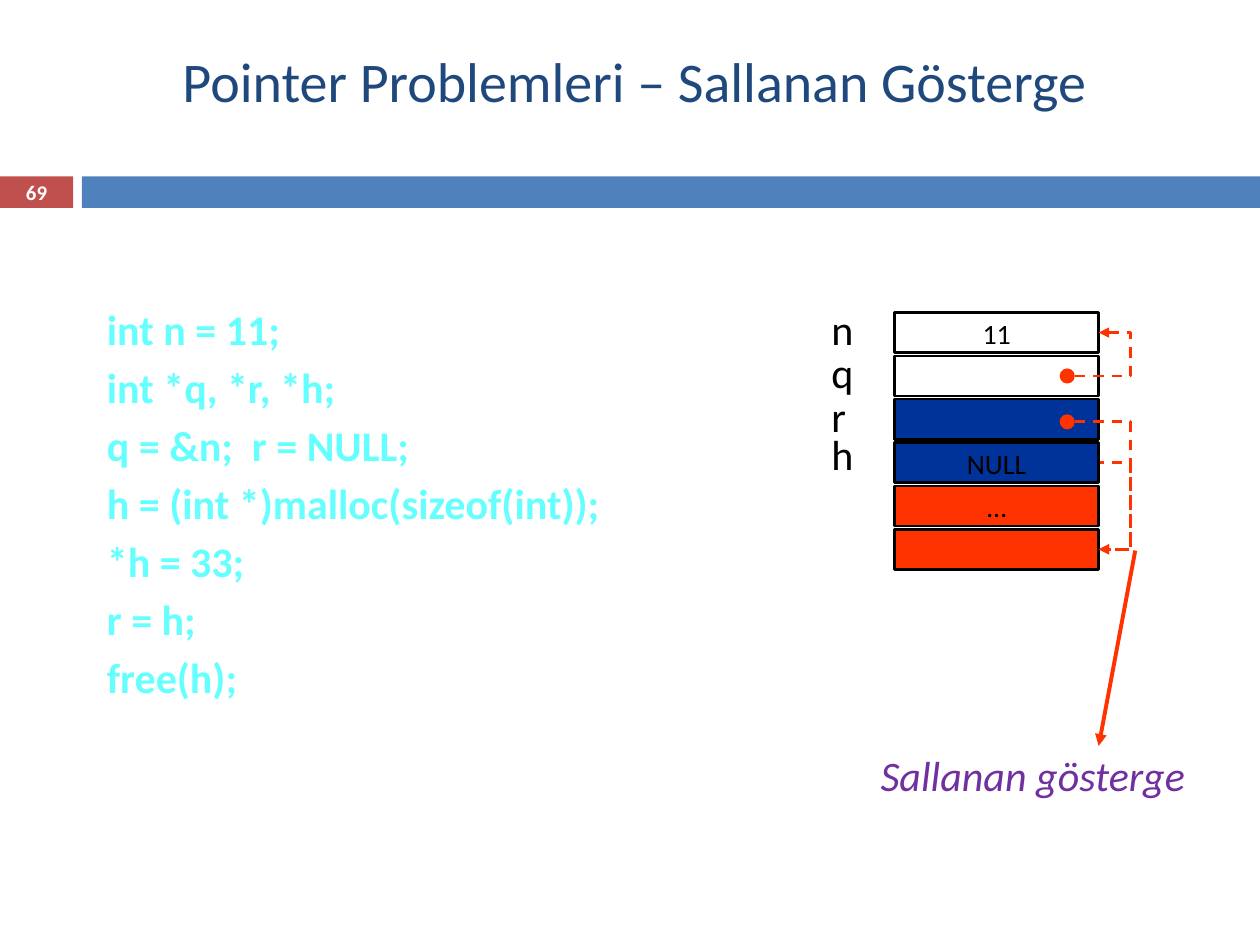
from pptx import Presentation
from pptx.dml.color import RGBColor
from pptx.enum.dml import MSO_LINE
from pptx.enum.shapes import MSO_CONNECTOR, MSO_SHAPE
from pptx.enum.text import MSO_ANCHOR, PP_ALIGN
from pptx.oxml.ns import qn
from pptx.util import Inches, Pt
from lxml import etree

RECT, OVAL = MSO_SHAPE.RECTANGLE, MSO_SHAPE.OVAL
STRAIGHT, ELBOW = MSO_CONNECTOR.STRAIGHT, MSO_CONNECTOR.ELBOW
TOP, MIDDLE = MSO_ANCHOR.TOP, MSO_ANCHOR.MIDDLE
LEFT, CENTER = PP_ALIGN.LEFT, PP_ALIGN.CENTER
DASH = MSO_LINE.DASH

FONT = "Calibri"
BLACK = RGBColor(0x00, 0x00, 0x00)
WHITE = RGBColor(0xFF, 0xFF, 0xFF)
NAVY = RGBColor(0x1F, 0x49, 0x7D)
BAR_BLUE = RGBColor(0x4F, 0x81, 0xBD)
BAR_RED = RGBColor(0xC0, 0x50, 0x4D)
CYAN = RGBColor(0x66, 0xFF, 0xFF)
CELL_BLUE = RGBColor(0x00, 0x33, 0x99)
ORANGE = RGBColor(0xFF, 0x33, 0x00)
PURPLE = RGBColor(0x70, 0x30, 0xA0)

CODE = ["int n = 11;", "int *q, *r, *h;", "q = &n;  r = NULL;",
        "h = (int *)malloc(sizeof(int));", "*h = 33;", "r = h;", "free(h);"]
# Memory cells: content and fill
CELLS = [("11", None), ("", None), ("", CELL_BLUE),
         ("NULL", CELL_BLUE), ("…", ORANGE), ("", ORANGE)]
# Variable names and their offsets from the top of the diagram
LABELS = [("n", 0), ("q", 0.34), ("r", 0.69), ("h", 0.99)]


def write(shape, lines, size, color, align=LEFT, anchor=TOP, bold=False, italic=False, gap=0):
    frame = shape.text_frame
    frame.word_wrap = True
    frame.vertical_anchor = anchor
    for number, line in enumerate(lines):
        para = frame.add_paragraph() if number else frame.paragraphs[0]
        para.alignment = align
        if number:
            para.space_before = Pt(gap)
        span = para.add_run()
        span.text = line
        font = span.font
        font.name, font.size, font.bold, font.italic = FONT, Pt(size), bold, italic
        font.color.rgb = color


def add_text(page, box, lines, size, color, **style):
    shape = page.shapes.add_textbox(*map(Inches, box))
    write(shape, lines, size, color, **style)
    return shape


def add_block(page, kind, box, fill=None, line=None):
    shape = page.shapes.add_shape(kind, *map(Inches, box))
    shape.shadow.inherit = False
    if fill is None:
        shape.fill.background()
    else:
        shape.fill.solid()
        shape.fill.fore_color.rgb = fill
    if line is None:
        shape.line.fill.background()
    else:
        shape.line.color.rgb = line
        shape.line.width = Pt(1.5)
    return shape


def add_arrow(page, kind, start, end, width):
    arrow = page.shapes.add_connector(kind, *map(Inches, start + end))
    arrow.line.color.rgb = ORANGE
    arrow.line.width = Pt(width)
    if kind == ELBOW:
        arrow.line.dash_style = DASH
    outline = arrow.line._get_or_add_ln()
    etree.SubElement(outline, qn("a:tailEnd"), type="triangle")
    properties = arrow._element.spPr
    etree.SubElement(properties, qn("a:effectLst"))
    return arrow


def add_loop(page, start, end, bend_x):
    """Dashed pointer that swings out to bend_x before it returns to a cell."""
    arrow = add_arrow(page, ELBOW, start, end, 1.5)
    ratio = (bend_x - start[0]) / (end[0] - start[0])
    geometry = arrow._element.spPr.find(qn("a:prstGeom"))
    guides = geometry.find(qn("a:avLst"))
    if guides is None:
        guides = etree.SubElement(geometry, qn("a:avLst"))
    etree.SubElement(guides, qn("a:gd"), name="adj1", fmla=f"val {round(ratio * 100000)}")


def header(page, left, top, width):
    add_text(page, (left + 1.35, top + 0.17, 8.4, 0.93),
             ["Pointer Problemleri – Sallanan Gösterge"], 32, NAVY, anchor=MIDDLE)
    # Slide number and bar
    number = add_block(page, RECT, (left, top + 1.4, 0.58, 0.25), BAR_RED)
    number.text_frame.margin_top = number.text_frame.margin_bottom = 0
    write(number, ["69"], 11.9, WHITE, align=CENTER, anchor=MIDDLE, bold=True)
    add_block(page, RECT, (left + 0.65, top + 1.4, width - 0.65, 0.25), BAR_BLUE)


def code_listing(page, box):
    listing = add_text(page, box, CODE, 24, CYAN, bold=True, gap=4.3)
    for para in listing.text_frame.paragraphs:
        indent = para._p.get_or_add_pPr()
        indent.set("marL", str(Inches(0.38)))
        indent.set("indent", str(-Inches(0.38)))


def memory_diagram(page, left, top):
    cell_left, cell_top = left + 0.6, top + 0.12
    cell_width, cell_height = 1.62, 0.32
    pitch = 1.72 / (len(CELLS) - 1)
    cell_right = cell_left + cell_width
    dot_x, bend_x, dot_size = cell_right - 0.19, cell_right + 0.25, 0.12

    def middle(row):
        return cell_top + row * pitch + cell_height / 2

    # Pointer h runs behind its cell
    add_loop(page, (dot_x, middle(3)), (cell_right, middle(5)), bend_x)

    # Memory cells
    for row, (content, fill) in enumerate(CELLS):
        cell = add_block(page, RECT, (cell_left, cell_top + row * pitch, cell_width, cell_height),
                         fill, BLACK)
        if content:
            cell.text_frame.margin_top = cell.text_frame.margin_bottom = Inches(0.03)
            write(cell, [content], 16, BLACK, align=CENTER)

    # Variable names
    for name, offset in LABELS:
        add_text(page, (left, top + offset, 0.39, 0.5), [name], 24, BLACK)

    # Pointers q and r, each with its dot
    for dot_y, target in [(middle(1), 0), (middle(2) + 0.02, 5)]:
        add_block(page, OVAL, (dot_x - dot_size, dot_y - dot_size / 2, dot_size, dot_size), ORANGE)
        add_loop(page, (dot_x, dot_y), (cell_right, middle(target)), bend_x)

    # Dangling pointer callout
    add_arrow(page, STRAIGHT, (left + 2.51, top + 2.01), (cell_right, top + 3.56), 2.25)
    add_text(page, (left + 0.39, top + 3.54, 2.87, 0.5), ["Sallanan gösterge"], 24, PURPLE,
             italic=True)


def main():
    deck = Presentation()
    deck.slide_width, deck.slide_height = Inches(10), Inches(7.5)
    page = deck.slides.add_slide(deck.slide_layouts[6])
    header(page, 0, 0, 10)
    code_listing(page, (0.75, 2.36, 4.38, 4.12))
    memory_diagram(page, 6.5, 2.36)
    deck.save("out.pptx")


if __name__ == "__main__":
    main()
